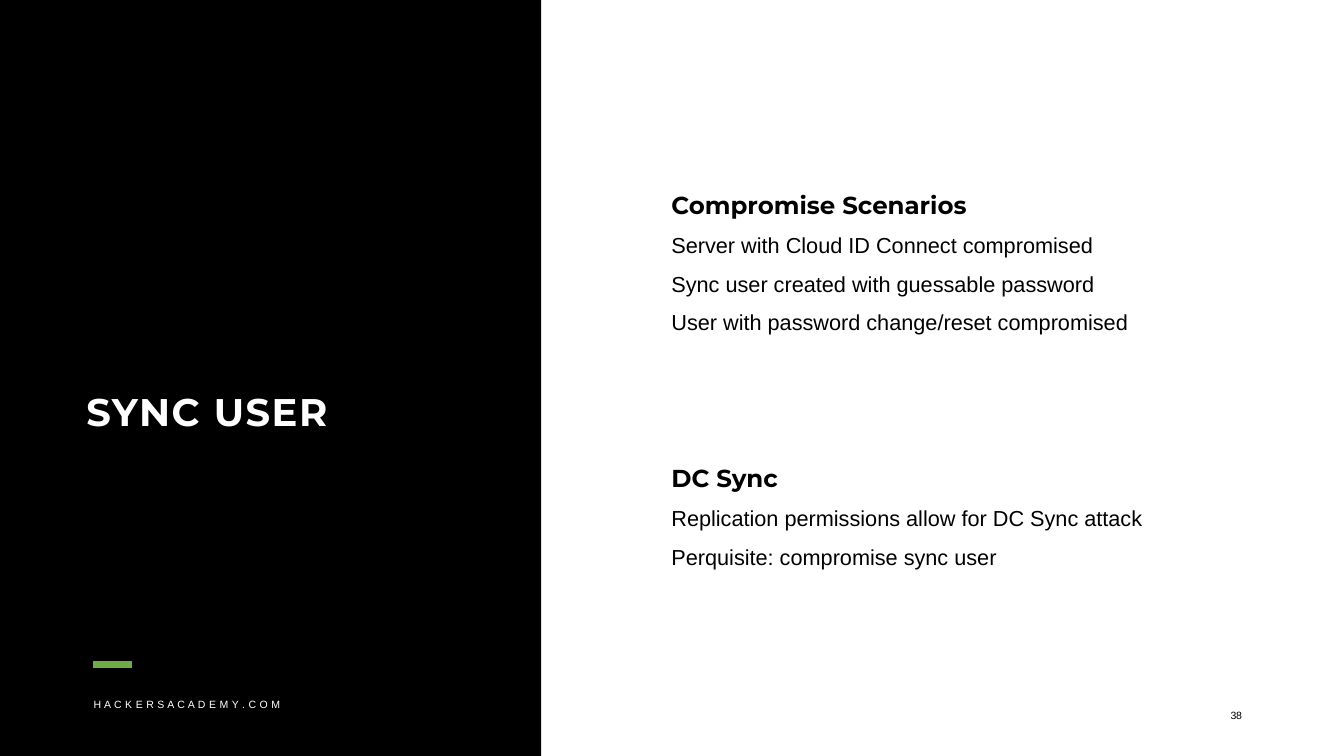
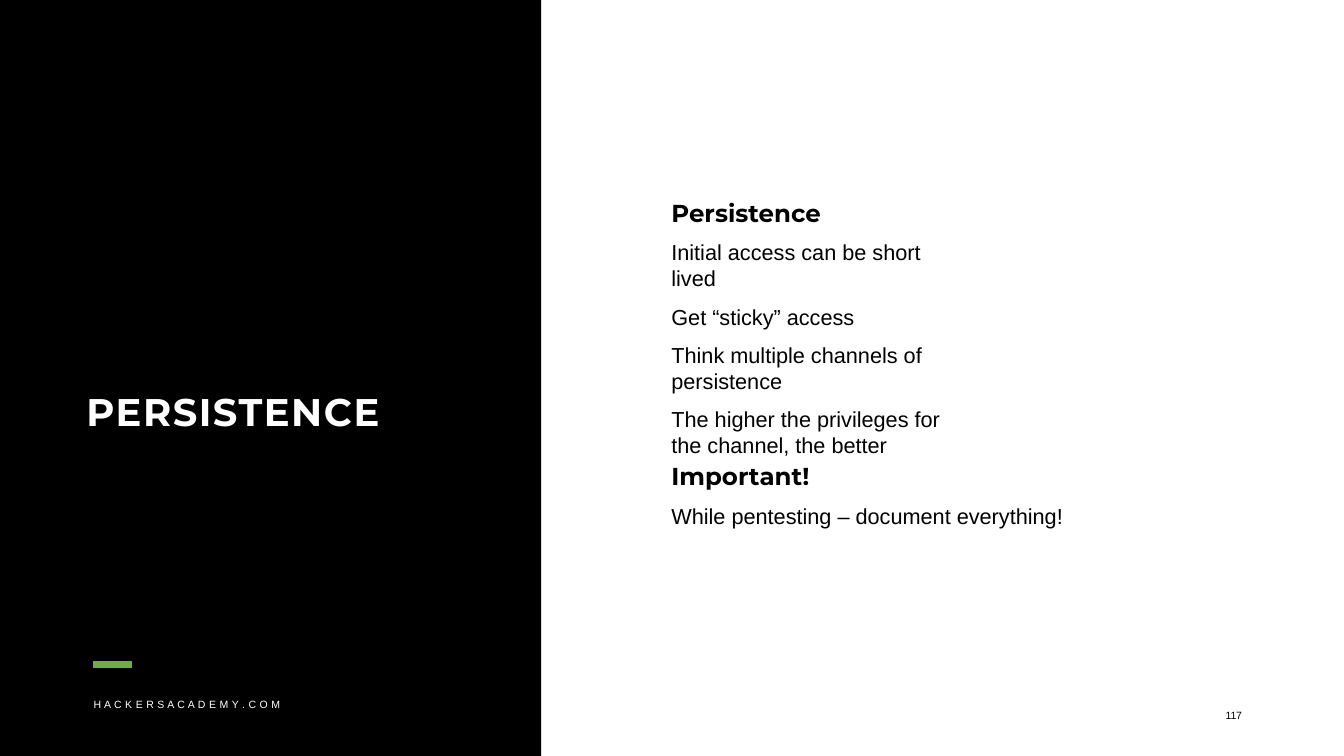
from dataclasses import dataclass

from lxml.etree import SubElement
from pptx import Presentation
from pptx.dml.color import RGBColor
from pptx.enum.shapes import MSO_CONNECTOR, MSO_SHAPE
from pptx.enum.text import PP_ALIGN
from pptx.oxml.ns import qn
from pptx.util import Cm, Pt


@dataclass(frozen=True)
class TextStyle:
    font: str
    size: float
    color: RGBColor
    bold: bool = False
    tracking: float = 0


@dataclass(frozen=True)
class Theme:
    black = RGBColor(0x00, 0x00, 0x00)
    white = RGBColor(0xFF, 0xFF, 0xFF)
    green = RGBColor(0x6F, 0xAC, 0x46)
    title = TextStyle("Montserrat", 27.5, white, True, 1.1)
    heading = TextStyle("Montserrat", 17.5, black, True)
    body = TextStyle("Arial", 15.5, black)
    footer = TextStyle("Arial", 7.5, white, tracking=0.2)
    number = TextStyle("Arial", 7.5, black, tracking=-0.2)
    gap = Pt(8.75)


theme = Theme()


def add_text(page, left, top, width, height, lines, align=PP_ALIGN.LEFT):
    """Add a text box with one paragraph for each (text, style) pair."""
    box = page.shapes.add_textbox(Cm(left), Cm(top), Cm(width), Cm(height))
    frame = box.text_frame
    frame.word_wrap = True
    frame.margin_left = frame.margin_right = 0
    frame.margin_top = frame.margin_bottom = 0
    for index, (text, style) in enumerate(lines):
        para = frame.add_paragraph() if index else frame.paragraphs[0]
        para.alignment = align
        para.space_before = theme.gap if index else Pt(0)
        span = para.add_run()
        span.text = text
        span.font.name = style.font
        span.font.size = Pt(style.size)
        span.font.bold = style.bold
        span.font.color.rgb = style.color
        if style.tracking:
            span.font._element.set("spc", str(round(style.tracking * 100)))


# Each section: top, width, height, heading, points
slides = [
    ("SYNC USER", "38", [
        (4.8, 13, 3.6, "Compromise Scenarios", [
            "Server with Cloud ID Connect compromised",
            "Sync user created with guessable password",
            "User with password change/reset compromised",
        ]),
        (11.68, 13, 2.64, "DC Sync", [
            "Replication permissions allow for DC Sync attack",
            "Perquisite: compromise sync user",
        ]),
    ]),
    ("PERSISTENCE", "117", [
        (4.98, 7.35, 5.8, "Persistence", [
            "Initial access can be short lived",
            "Get “sticky” access",
            "Think multiple channels of persistence",
            "The higher the privileges for the channel, the better",
        ]),
        (11.61, 13, 1.7, "Important!", [
            "While pentesting – document everything!",
        ]),
    ]),
]

deck = Presentation()
deck.slide_width = Cm(33.87)
deck.slide_height = Cm(19.05)

for title, number, sections in slides:
    page = deck.slides.add_slide(deck.slide_layouts[6])

    panel = page.shapes.add_shape(
        MSO_SHAPE.RECTANGLE, 0, 0, Cm(13.64), deck.slide_height)
    panel.shadow.inherit = False
    panel.fill.solid()
    panel.fill.fore_color.rgb = theme.black
    panel.line.fill.background()

    accent = page.shapes.add_connector(
        MSO_CONNECTOR.STRAIGHT, Cm(2.34), Cm(16.74), Cm(3.33), Cm(16.74))
    accent.line.color.rgb = theme.green
    accent.line.width = Pt(5)
    SubElement(accent._element.spPr, qn("a:effectLst"))

    add_text(page, 2.18, 9.78, 10.5, 1.2, [(title, theme.title)])
    add_text(page, 2.36, 17.6, 6, 0.35,
             [("H A C K E R S A C A D E M Y . C O M", theme.footer)])
    for top, width, height, heading, points in sections:
        lines = [(heading, theme.heading)]
        lines += [(point, theme.body) for point in points]
        add_text(page, 16.92, top, width, height, lines)
    add_text(page, 30, 17.86, 1.3, 0.35,
             [(number, theme.number)], PP_ALIGN.RIGHT)

deck.save("out.pptx")
